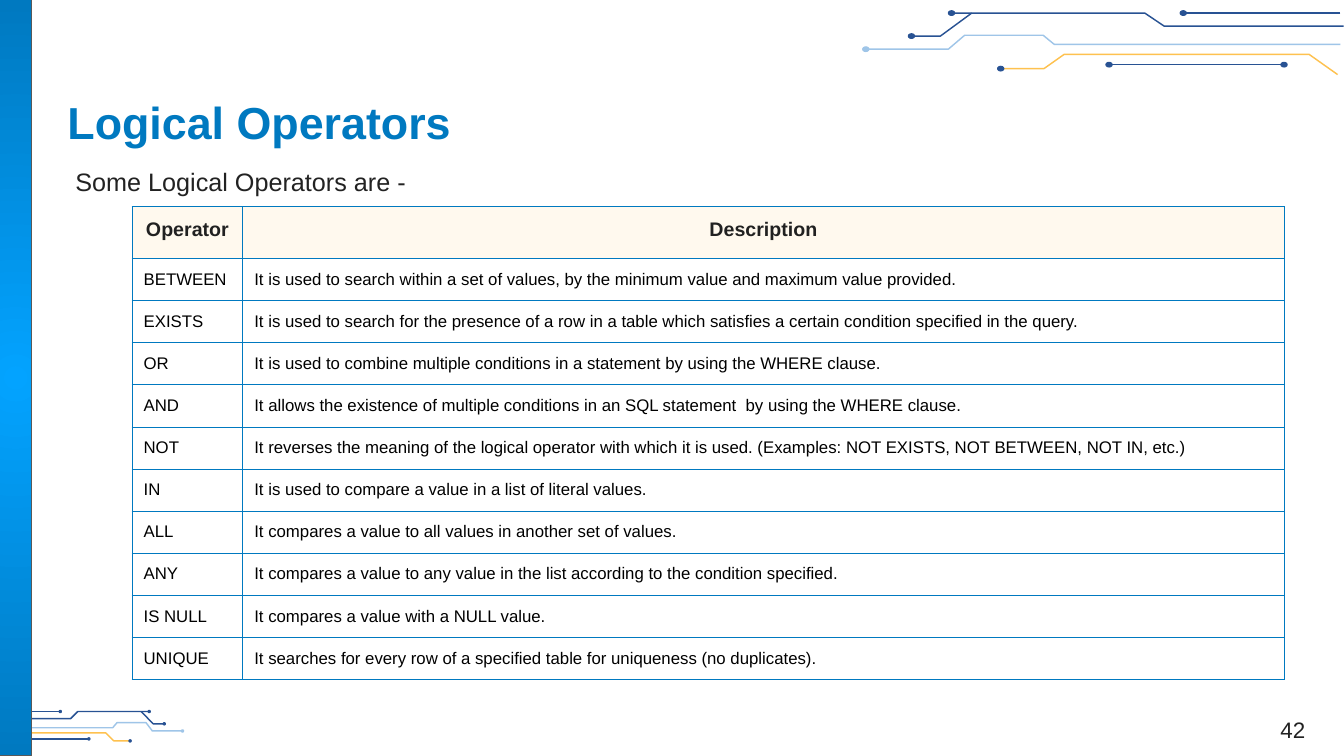
from dataclasses import dataclass

from lxml import etree
from pptx import Presentation
from pptx.dml.color import RGBColor
from pptx.enum import shapes, text
from pptx.oxml import ns
from pptx.util import Cm, Pt


@dataclass(frozen=True)
class Theme:
    font: str = "Arial"
    blue: str = "0079C0"
    bright: str = "03A3FF"
    navy: str = "285293"
    sky: str = "9FC5E8"
    amber: str = "FEC14F"
    grey: str = "595959"
    ink: str = "222222"
    header_ink: str = "212121"
    header_fill: str = "FFF9EE"
    black: str = "000000"
    white: str = "FFFFFF"
    title_size: int = 32
    lead_size: int = 18
    number_size: int = 16
    header_size: int = 14
    cell_size: int = 12
    thin: float = 0.75
    trace: float = 1.03


THEME = Theme()

TOP_DOT = (0.16, 0.12)
TOP_TRACES = [
    (THEME.navy, THEME.navy, [(33.86, 0.66), (29.34, 0.66), (28.85, 0.33), (23.98, 0.33)]),
    (THEME.navy, THEME.navy, [(24.49, 0.33), (23.7, 0.91), (22.97, 0.91)]),
    (THEME.navy, THEME.navy, [(33.78, 0.33), (29.82, 0.33)]),
    (THEME.amber, THEME.navy,
     [(33.71, 1.88), (32.99, 1.37), (26.82, 1.37), (26.31, 1.73), (25.22, 1.73)]),
    (THEME.navy, THEME.navy, [(32.36, 1.63), (27.95, 1.63)]),
    (THEME.sky, THEME.sky,
     [(33.78, 1.12), (26.57, 1.12), (26.29, 0.89), (24.31, 0.89), (23.9, 1.24), (21.82, 1.24)]),
]
TOP_EXTRA_DOT = (32.36, 1.63)

BOTTOM_DOT = (0.06, 0.06)
BOTTOM_TRACES = [
    (THEME.navy, THEME.navy, [(0.1, 18.11), (1.78, 18.11), (1.96, 17.93), (3.76, 17.93)]),
    (THEME.navy, THEME.navy, [(3.56, 17.93), (3.86, 18.24), (4.14, 18.24)]),
    (THEME.navy, THEME.navy, [(0, 17.93), (1.52, 17.93)]),
    (THEME.amber, THEME.navy,
     [(0.03, 18.75), (0.3, 18.47), (2.67, 18.47), (2.87, 18.67), (3.28, 18.67)]),
    (THEME.navy, THEME.navy, [(0.53, 18.62), (2.24, 18.62)]),
    (THEME.sky, THEME.sky,
     [(0.2, 18.34), (2.84, 18.34), (2.95, 18.21), (3.68, 18.21), (3.84, 18.42), (4.6, 18.42)]),
]
BOTTOM_EXTRA_DOT = (0.53, 18.62)

OPERATORS = [
    ("Operator", "Description"),
    ("BETWEEN", "It is used to search within a set of values, by the minimum value "
                "and maximum value provided."),
    ("EXISTS", "It is used to search for the presence of a row in a table which satisfies "
               "a certain condition specified in the query."),
    ("OR", "It is used to combine multiple conditions in a statement by using the WHERE clause."),
    ("AND", "It allows the existence of multiple conditions in an SQL statement  "
            "by using the WHERE clause."),
    ("NOT", "It reverses the meaning of the logical operator with which it is used. "
            "(Examples: NOT EXISTS, NOT BETWEEN, NOT IN, etc.)"),
    ("IN", "It is used to compare a value in a list of literal values."),
    ("ALL", "It compares a value to all values in another set of values."),
    ("ANY", "It compares a value to any value in the list according to the condition specified."),
    ("IS NULL", "It compares a value with a NULL value."),
    ("UNIQUE", "It searches for every row of a specified table for uniqueness (no duplicates)."),
]


def rgb(colour):
    return RGBColor.from_string(colour)


def set_line(line, colour, width):
    line.color.rgb = rgb(colour)
    line.width = Pt(width)


def write(para, words, size, colour, bold=False, align=text.PP_ALIGN.LEFT):
    para.alignment = align
    para.space_before = Pt(0)
    span = para.add_run()
    span.text = words
    span.font.name = THEME.font
    span.font.size = Pt(size)
    span.font.bold = bold
    span.font.color.rgb = rgb(colour)


def place(box, left, top, width, height):
    box.left, box.top, box.width, box.height = Cm(left), Cm(top), Cm(width), Cm(height)


def format_frame(frame, anchor, inset_x, inset_y):
    frame.word_wrap = True
    frame.auto_size = text.MSO_AUTO_SIZE.NONE
    frame.vertical_anchor = anchor
    frame.margin_left = frame.margin_right = Cm(inset_x)
    frame.margin_top = frame.margin_bottom = Cm(inset_y)


def add_dot(page, centre, size, colour):
    (x, y), (width, height) = centre, size
    dot = page.shapes.add_shape(shapes.MSO_SHAPE.OVAL, Cm(x - width / 2), Cm(y - height / 2),
                                Cm(width), Cm(height))
    dot.shadow.inherit = False
    dot.fill.solid()
    dot.fill.fore_color.rgb = rgb(colour)
    set_line(dot.line, colour, THEME.thin)


def add_trace(page, points, colour):
    corners = [(Cm(x), Cm(y)) for x, y in points]
    if len(corners) == 2:
        trace = page.shapes.add_connector(shapes.MSO_CONNECTOR.STRAIGHT, *corners[0], *corners[1])
        etree.SubElement(trace._element.spPr, ns.qn("a:effectLst"))
    else:
        builder = page.shapes.build_freeform(*corners[0])
        builder.add_line_segments(corners[1:], close=False)
        trace = builder.convert_to_shape()
        trace.shadow.inherit = False
        trace.fill.background()
    set_line(trace.line, colour, THEME.trace)


def add_circuit(page, traces, dot_size, extra_dot):
    for colour, dot_colour, points in traces:
        add_trace(page, points, colour)
        add_dot(page, points[-1], dot_size, dot_colour)
    add_dot(page, extra_dot, dot_size, THEME.navy)


def add_side_bar(page):
    bar = page.shapes.add_shape(shapes.MSO_SHAPE.RECTANGLE, 0, 0, Cm(0.8), Cm(19.05))
    bar.shadow.inherit = False
    set_line(bar.line, THEME.grey, THEME.thin)
    bar.fill.gradient()
    for stop, colour, position in zip(bar.fill.gradient_stops, (THEME.bright, THEME.blue), (0, 1)):
        stop.color.rgb = rgb(colour)
        stop.position = position
    gradient = bar._element.spPr.find(ns.qn("a:gradFill"))
    gradient.remove(gradient.find(ns.qn("a:lin")))
    circle = etree.SubElement(gradient, ns.qn("a:path"), path="circle")
    etree.SubElement(circle, ns.qn("a:fillToRect"), l="50000", t="50000", r="50000", b="50000")


def add_borders(cell):
    properties = cell._tc.get_or_add_tcPr()
    for side in ("lnL", "lnR", "lnT", "lnB"):
        line = etree.SubElement(properties, ns.qn(f"a:{side}"), w=str(Pt(THEME.thin)))
        fill = etree.SubElement(line, ns.qn("a:solidFill"))
        etree.SubElement(fill, ns.qn("a:srgbClr"), val=THEME.blue)


def fill_cell(cell, words, is_header):
    add_borders(cell)
    cell.fill.solid()
    cell.fill.fore_color.rgb = rgb(THEME.header_fill if is_header else THEME.white)
    cell.margin_left = cell.margin_right = cell.margin_top = cell.margin_bottom = Cm(0.29)
    para = cell.text_frame.paragraphs[0]
    if is_header:
        write(para, words, THEME.header_size, THEME.header_ink, True, text.PP_ALIGN.CENTER)
    else:
        write(para, words, THEME.cell_size, THEME.black)


def add_operator_table(page):
    table = page.shapes.add_table(len(OPERATORS), 2, Cm(3.33), Cm(5.21), Cm(29.03), Cm(11.91)).table
    table.first_row = table.horz_banding = False
    table.columns[0].width, table.columns[1].width = Cm(2.79), Cm(26.24)
    for index, entry in enumerate(OPERATORS):
        table.rows[index].height = Cm(1.06 if index else 1.31)
        for column, words in enumerate(entry):
            fill_cell(table.cell(index, column), words, index == 0)


def fill_title(box):
    place(box, 1.45, 2.08, 30.07, 1.96)
    format_frame(box.text_frame, text.MSO_ANCHOR.MIDDLE, 0.25, 0.25)
    write(box.text_frame.paragraphs[0], "Logical Operators", THEME.title_size, THEME.blue, True)


def fill_lead(box):
    place(box, 1.65, 3.94, 30.56, 0.97)
    format_frame(box.text_frame, text.MSO_ANCHOR.TOP, 0.25, 0.25)
    para = box.text_frame.paragraphs[0]
    properties = para._p.get_or_add_pPr()
    properties.set("marL", "0")
    properties.set("indent", "0")
    etree.SubElement(properties, ns.qn("a:buNone"))
    write(para, "Some Logical Operators are -", THEME.lead_size, THEME.ink)


def add_page_number(page):
    box = page.shapes.add_textbox(Cm(31.5), Cm(17.35), Cm(2.16), Cm(1.5))
    format_frame(box.text_frame, text.MSO_ANCHOR.BOTTOM, 0.25, 0.13)
    write(box.text_frame.paragraphs[0], "42", THEME.number_size, THEME.ink,
          align=text.PP_ALIGN.CENTER)


def main():
    deck = Presentation()
    deck.slide_width, deck.slide_height = Cm(33.87), Cm(19.05)
    page = deck.slides.add_slide(deck.slide_layouts[1])
    add_circuit(page, BOTTOM_TRACES, BOTTOM_DOT, BOTTOM_EXTRA_DOT)
    add_circuit(page, TOP_TRACES, TOP_DOT, TOP_EXTRA_DOT)
    add_side_bar(page)
    fill_title(page.shapes.title)
    fill_lead(page.placeholders[1])
    add_page_number(page)
    add_operator_table(page)
    deck.save("out.pptx")


if __name__ == "__main__":
    main()
